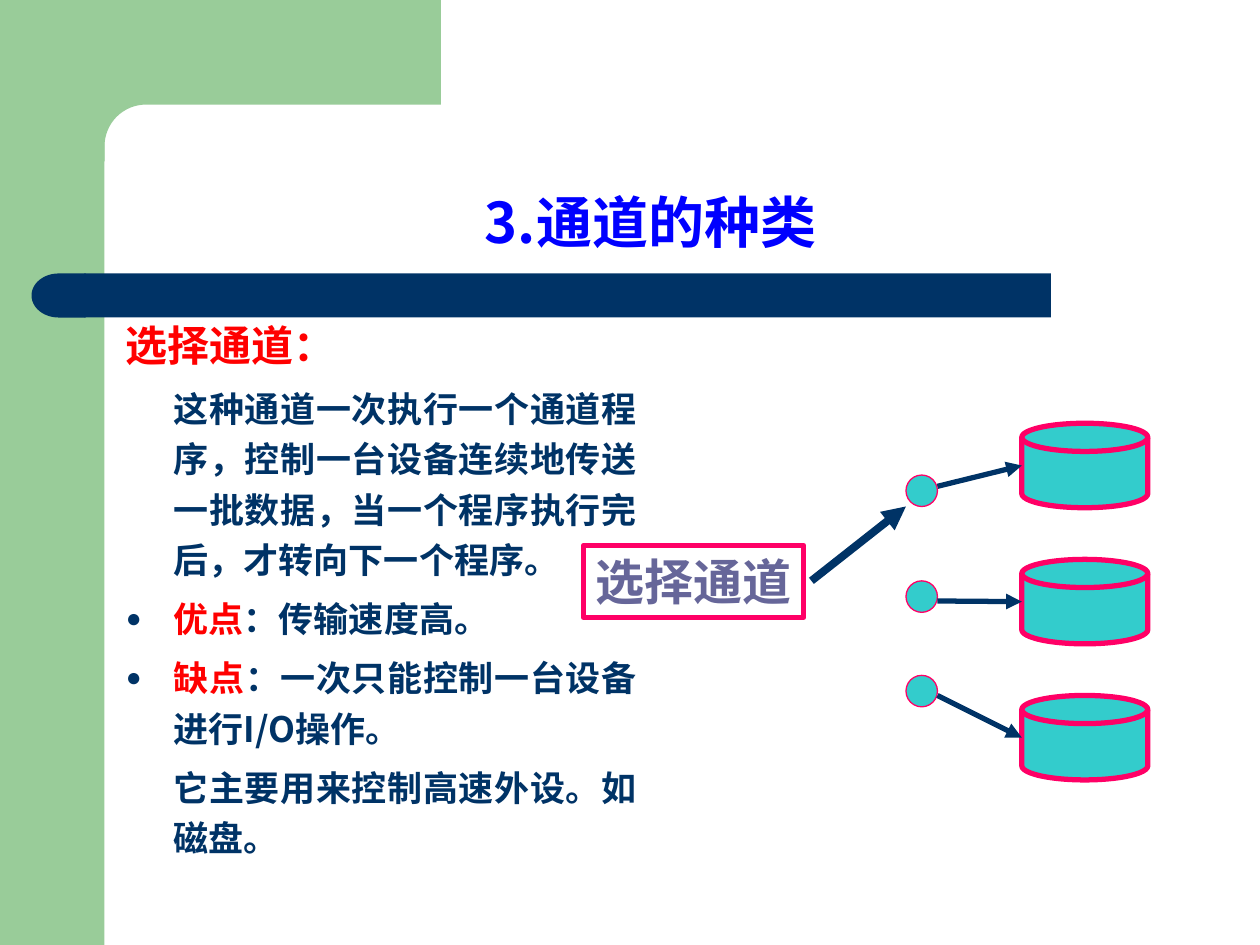
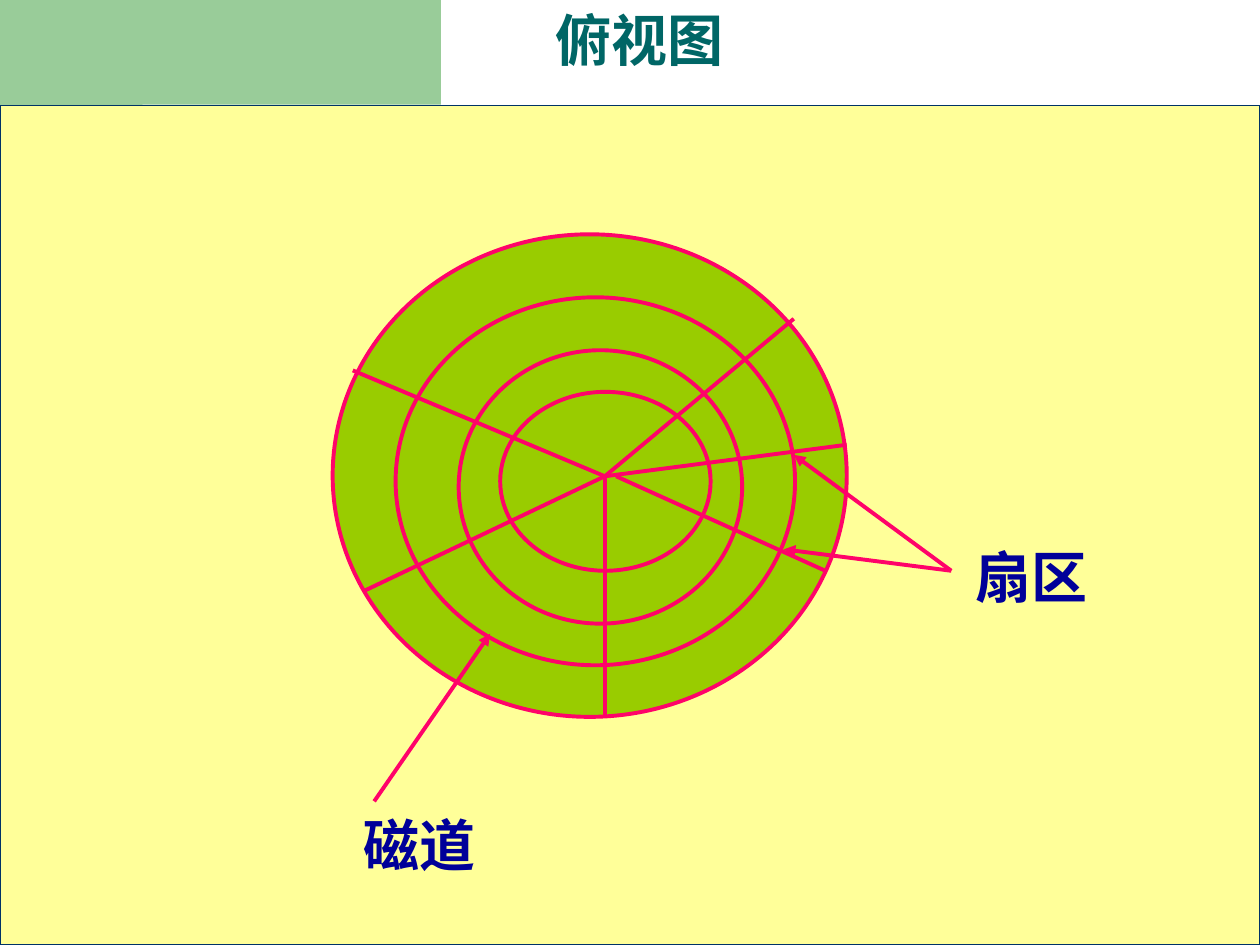
from math import cos, pi, sin

from lxml.etree import SubElement
from pptx import Presentation
from pptx.dml.color import RGBColor
from pptx.enum.shapes import MSO_CONNECTOR, MSO_SHAPE
from pptx.enum.text import MSO_ANCHOR, PP_ALIGN
from pptx.oxml.ns import qn
from pptx.util import Inches, Pt

COLORS = {
    "band": "99CC99", "navy": "003366", "title": "0000FF", "red": "FF0000",
    "device": "33CCCC", "outline": "FF0066", "channel": "666699",
    "panel": "FFFF99", "view_title": "006666", "platter": "99CC00",
    "track": "FF0369", "label": "000099",
}
CJK_FONT = "Noto Sans CJK SC"

# Each paragraph: runs of (text, colour), size, line spacing, space before, kind
BODY = [
    ([("选择通道：", "red")], 24, 1.0, 6, "heading"),
    ([("这种通道一次执行一个通道程序，控制一台设备连续地传送一批数据，"
       "当一个程序执行完后，才转向下一个程序。", "navy")], 20, 1.2, 5, "plain"),
    ([("优点", "red"), ("：传输速度高。", "navy")], 20, 1.2, 5, "bullet"),
    ([("缺点", "red"), ("：一次只能控制一台设备进行I/O操作。", "navy")], 20, 1.2, 5, "bullet"),
    ([("它主要用来控制高速外设。如磁盘。", "navy")], 20, 1.2, 5, "plain"),
]
BODY_INDENT = 0.38

DISK_LEFT, DISK_TOP, DISK_PITCH, DISK_HEIGHT = 8.11, 3.36, 1.08, 0.67
NODE_LEFT, NODE_SIZE = 7.19, 0.25
# Top of each node and the height at which its arrow leaves
NODES = [(3.77, 3.86), (4.61, 4.77), (5.36, 5.52)]

TRACKS = [(2.64, 1.86, 4.08, 3.83), (3.14, 2.36, 3.17, 2.92),
          (3.64, 2.78, 2.25, 2.17), (3.97, 3.11, 1.67, 1.42)]
HUB = (4.8, 3.78)
SPOKES = [(HUB, (6.3, 2.53)), ((4.89, 3.78), (6.55, 4.53)), (HUB, (4.8, 5.69)),
          (HUB, (2.89, 4.69)), (HUB, (2.8, 2.94)), (HUB, (6.72, 3.53))]
SECTOR_POINT = (7.55, 4.53)
POINTERS = [((2.97, 6.36), (3.89, 5.03)),
            (SECTOR_POINT, (6.3, 3.61)), (SECTOR_POINT, (6.22, 4.36))]
LABELS = [("磁道", (2.79, 6.38, 1.09, 0.64)), ("扇区", (7.64, 4.25, 1.09, 0.64))]


def color(name):
    return RGBColor.from_string(COLORS[name])


def paint(shape, fill=None, line=None, width=0.75):
    shape.shadow.inherit = False
    if fill:
        shape.fill.solid()
        shape.fill.fore_color.rgb = color(fill)
    else:
        shape.fill.background()
    if line:
        shape.line.color.rgb = color(line)
        shape.line.width = Pt(width)
    else:
        shape.line.fill.background()


def add_shape(slide, preset, box, fill, line=None, width=0.75):
    shape = slide.shapes.add_shape(preset, *map(Inches, box))
    paint(shape, fill, line, width)
    return shape


def add_line(slide, start, end, line, width, arrow=False):
    connector = slide.shapes.add_connector(
        MSO_CONNECTOR.STRAIGHT, *map(Inches, (*start, *end)))
    connector.line.color.rgb = color(line)
    connector.line.width = Pt(width)
    if arrow:
        SubElement(connector.line._get_or_add_ln(), qn("a:tailEnd"), type="triangle")
    SubElement(connector._element.spPr, qn("a:effectLst"))


def format_run(run, size, name, font=CJK_FONT):
    run.font.size = Pt(size)
    run.font.bold = True
    run.font.name = font
    run.font.color.rgb = color(name)
    SubElement(run._r.get_or_add_rPr(), qn("a:ea"), typeface=CJK_FONT)


def add_text(slide, text, box, size, name, font=CJK_FONT,
             anchor=MSO_ANCHOR.TOP, title=False):
    """Add one line of text; a title is centred and set tighter."""
    text_box = slide.shapes.add_textbox(*map(Inches, box))
    frame = text_box.text_frame
    frame.text = text
    frame.word_wrap = title
    frame.vertical_anchor = anchor
    paragraph = frame.paragraphs[0]
    if title:
        paragraph.alignment = PP_ALIGN.CENTER
        paragraph.line_spacing = 0.9
    format_run(paragraph.runs[0], size, name, font)
    return text_box


def add_title(slide, text, box, name, font):
    add_text(slide, text, box, 32, name, font, MSO_ANCHOR.BOTTOM, title=True)


def add_corner(slide):
    """Green side band and top block joined by a rounded inner corner."""
    add_shape(slide, MSO_SHAPE.RECTANGLE, (0, 0, 0.83, 7.5), "band")
    center, radius, steps = 1.16, 0.33, 16
    angles = [pi / 2 * step / steps for step in range(steps + 1)]
    arc = [(center - radius * sin(angle), center - radius * cos(angle)) for angle in angles]
    outline = [(3.5, 0.83), *arc, (0.83, 1.28), (0.5, 1.28), (0.5, 0)]
    builder = slide.shapes.build_freeform(Inches(3.5), 0)
    builder.add_line_segments([(Inches(x), Inches(y)) for x, y in outline])
    paint(builder.convert_to_shape(), "band")


def add_title_bar(slide):
    add_shape(slide, MSO_SHAPE.RECTANGLE, (0.67, 2.17, 7.67, 0.35), "navy")
    cap = add_shape(slide, MSO_SHAPE.FLOWCHART_DELAY, (0.25, 2.17, 0.43, 0.35), "navy")
    cap.rotation = 180


def add_body(slide):
    frame = slide.shapes.add_textbox(*map(Inches, (0.9, 2.49, 4.25, 4.67))).text_frame
    frame.word_wrap = True
    for index, (runs, size, spacing, before, kind) in enumerate(BODY):
        paragraph = frame.add_paragraph() if index else frame.paragraphs[0]
        paragraph.alignment = PP_ALIGN.JUSTIFY
        paragraph.line_spacing = spacing
        paragraph.space_before = Pt(before)
        properties = paragraph._p.get_or_add_pPr()
        indent = Inches(BODY_INDENT)
        properties.set("marL", str(indent))
        properties.set("indent", str(0 if kind == "plain" else -indent))
        if kind == "bullet":
            bullet_color = SubElement(properties, qn("a:buClr"))
            SubElement(bullet_color, qn("a:srgbClr"), val=COLORS["navy"])
            SubElement(properties, qn("a:buSzPct"), val="75000")
            SubElement(properties, qn("a:buFont"), typeface="Arial")
            SubElement(properties, qn("a:buChar"), char="●")
        for text, name in runs:
            run = paragraph.add_run()
            run.text = text
            format_run(run, size, name)


def add_channel_diagram(slide):
    label = add_text(slide, "选择通道", (4.63, 4.33, 1.75, 0.57), 28, "channel",
                     "Times New Roman")
    paint(label, line="outline", width=3)
    for index, (node_top, arrow_start) in enumerate(NODES):
        disk_top = DISK_TOP + index * DISK_PITCH
        add_shape(slide, MSO_SHAPE.FLOWCHART_MAGNETIC_DISK,
                  (DISK_LEFT, disk_top, 1, DISK_HEIGHT), "device", "outline", 3)
        add_shape(slide, MSO_SHAPE.FLOWCHART_CONNECTOR,
                  (NODE_LEFT, node_top, NODE_SIZE, NODE_SIZE), "device", "outline")
        add_line(slide, (NODE_LEFT + NODE_SIZE, arrow_start),
                 (DISK_LEFT, disk_top + DISK_HEIGHT / 2), "navy", 3, arrow=True)
    add_line(slide, (6.44, 4.61), (NODE_LEFT, NODES[0][0] + NODE_SIZE),
             "navy", 4.5, arrow=True)


def add_platter(slide):
    for track in TRACKS:
        add_shape(slide, MSO_SHAPE.OVAL, track, "platter", "track", 2.25)
    for start, end in SPOKES:
        add_line(slide, start, end, "track", 2.25)
    for start, end in POINTERS:
        add_line(slide, start, end, "track", 2.25, arrow=True)
    for text, box in LABELS:
        add_text(slide, text, box, 32, "label", "Times New Roman", MSO_ANCHOR.MIDDLE)


def main():
    presentation = Presentation()
    presentation.slide_width = Inches(10)
    presentation.slide_height = Inches(7.5)
    blank = presentation.slide_layouts[6]

    channel_slide = presentation.slides.add_slide(blank)
    add_corner(channel_slide)
    add_title_bar(channel_slide)
    add_body(channel_slide)
    add_title(channel_slide, "3.通道的种类", (0.83, 0.83, 8.67, 1.25), "title", CJK_FONT)
    add_channel_diagram(channel_slide)

    disk_slide = presentation.slides.add_slide(blank)
    add_corner(disk_slide)
    add_shape(disk_slide, MSO_SHAPE.RECTANGLE, (0, 0.84, 10, 6.66), "panel", "navy")
    add_title(disk_slide, "俯视图", (0.79, 0.04, 8.58, 0.59), "view_title", "Arial")
    add_platter(disk_slide)

    presentation.save("out.pptx")


if __name__ == "__main__":
    main()
